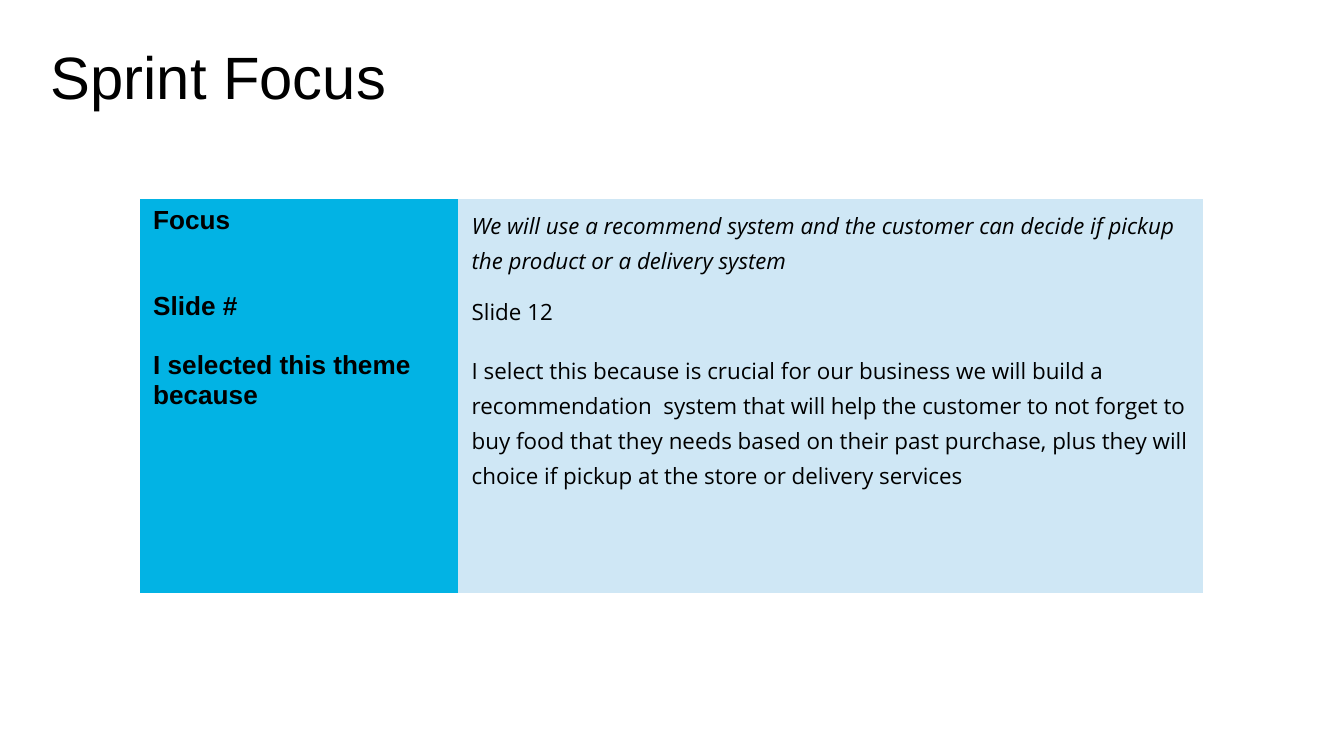
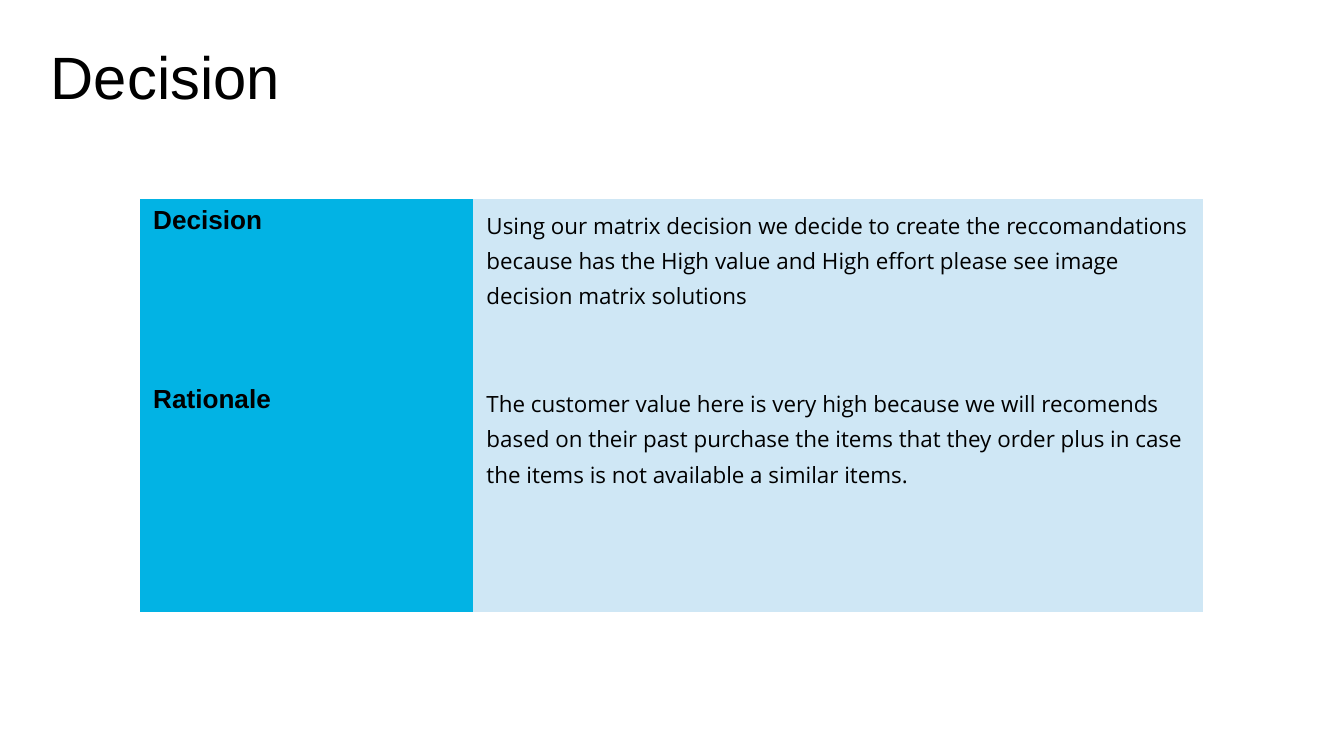
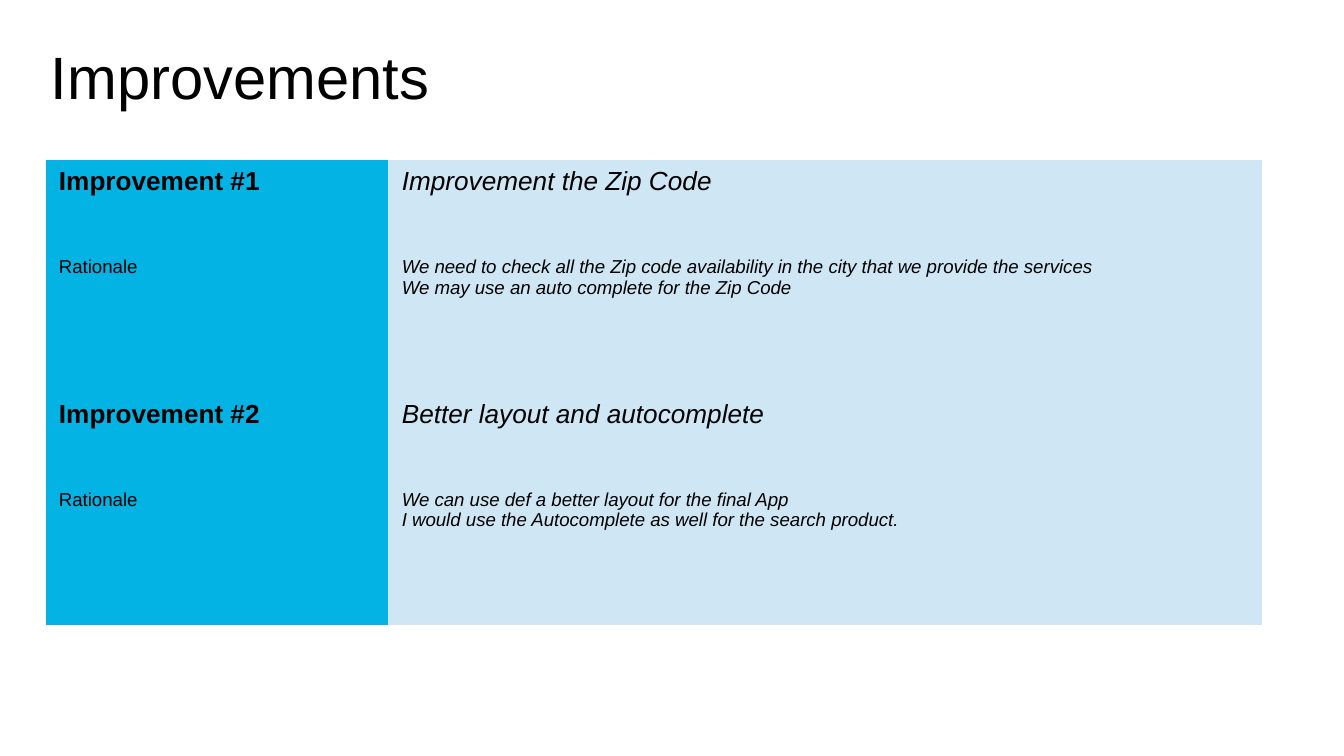
from dataclasses import dataclass

from pptx import Presentation
from pptx.dml.color import RGBColor as Rgb
from pptx.enum.text import MSO_ANCHOR as Anchor, MSO_AUTO_SIZE as Fit, PP_ALIGN as Align
from pptx.util import Cm, Pt


@dataclass(frozen=True)
class Theme:
    ink: Rgb = Rgb(0, 0, 0)
    paper: Rgb = Rgb(255, 255, 255)
    label: Rgb = Rgb(0x02, 0xB3, 0xE4)
    body: Rgb = Rgb(0xCF, 0xE7, 0xF5)
    sans: str = "Arial"
    prose: str = "Open Sans"
    huge: Pt = Pt(32)
    large: Pt = Pt(14)
    mid: Pt = Pt(12)
    small: Pt = Pt(10)
    plain: str = "{2D5ABB26-0587-4C30-8999-92F81FD0307C}"


THEME = Theme()
TITLE = dict(name=THEME.sans, size=THEME.huge, bold=False)
HEAD = dict(name=THEME.sans, size=THEME.large, bold=True)
LEAD = dict(name=THEME.sans, size=THEME.large, italic=True)
NOTE = dict(name=THEME.sans, size=THEME.small)
POINT = NOTE | dict(italic=True)
TEXT = dict(name=THEME.prose, size=THEME.mid)
QUOTE = TEXT | dict(italic=True)


def apply(item, values):
    for key, value in values.items():
        setattr(item, key, value)


class Deck:
    def __init__(self, theme):
        self.theme = theme
        self.show = Presentation()
        apply(self.show, dict(slide_width=Cm(25.4), slide_height=Cm(14.29)))
        self.slide = None

    def add(self, title):
        self.slide = self.show.slides.add_slide(self.show.slide_layouts[5])
        fill = self.slide.background.fill
        fill.solid()
        fill.fore_color.rgb = self.theme.paper
        shape = self.slide.shapes.title
        apply(shape, dict(left=Cm(0.86), top=Cm(0.61), width=Cm(23.67), height=Cm(1.6)))
        frame = shape.text_frame
        sides = ("left", "top", "right", "bottom")
        apply(frame, {f"margin_{side}": Cm(0.1) for side in sides})
        apply(frame, dict(vertical_anchor=Anchor.BOTTOM, auto_size=Fit.NONE, word_wrap=True))
        self.label(frame, title, TITLE)

    def label(self, frame, text, style):
        frame.text = text
        for para in frame.paragraphs:
            para.alignment = Align.LEFT
            if style["name"] == self.theme.prose:
                para.line_spacing = 1.15
            for run in para.runs:
                apply(run.font, style)
                run.font.color.rgb = self.theme.ink

    def table(self, left, top, widths, rows):
        high = sum(row[0] for row in rows)
        frame = self.slide.shapes.add_table(
            len(rows), len(widths), Cm(left), Cm(top), Cm(sum(widths)), Cm(high))
        grid = frame.table
        apply(grid, dict(first_row=False, horz_banding=False))
        grid._tbl.tblPr[0].text = self.theme.plain
        for col, width in zip(grid.columns, widths):
            col.width = Cm(width)
        tints = (self.theme.label, self.theme.body)
        for line, (height, *cells) in zip(grid.rows, rows):
            line.height = Cm(height)
            for cell, (text, style), tint in zip(line.cells, cells, tints):
                cell.fill.solid()
                cell.fill.fore_color.rgb = tint
                self.label(cell.text_frame, text, style)

    def save(self):
        self.show.save("out.pptx")


def main():
    deck = Deck(THEME)

    deck.add("Sprint Focus")
    deck.table(2.64, 3.76, (6.02, 14.07), [
        (1.63, ("Focus", HEAD),
         ("We will use a recommend system and the customer can decide if pickup "
          "the product or a delivery system", QUOTE)),
        (1.12, ("Slide #", HEAD), ("Slide 12", TEXT)),
        (4.7, ("I selected this theme because", HEAD),
         ("I select this because is crucial for our business we will build a "
          "recommendation  system that will help the customer to not forget to "
          "buy food that they needs based on their past purchase, plus they will "
          "choice if pickup at the store or delivery services", TEXT)),
    ])

    deck.add("Decision")
    deck.table(2.64, 3.76, (6.3, 13.79), [
        (3.38, ("Decision", HEAD),
         ("Using our matrix decision we decide to create the reccomandations "
          "because has the High value and High effort please see image "
          "decision matrix solutions", TEXT)),
        (4.42, ("Rationale", HEAD),
         ("The customer value here is very high because we will recomends "
          "based on their past purchase the items that they order plus in case "
          "the items is not available a similar items.", TEXT)),
    ])

    deck.add("Improvements")
    plans = (
        ("Improvement the Zip Code",
         "We need to check all the Zip code availability in the city that we provide the services\n"
         "We may use an auto complete for the Zip Code"),
        ("Better layout and autocomplete",
         "We can use def a better layout for the final App\n"
         "I would use the Autocomplete as well for the search product."),
    )
    rows = []
    for num, (name, why) in enumerate(plans, 1):
        rows += [(1.7, (f"Improvement #{num}", HEAD), (name, LEAD)),
                 (2.7, ("Rationale", NOTE), (why, POINT))]
    deck.table(0.86, 3.02, (6.48, 16.51), rows)

    deck.save()


if __name__ == "__main__":
    main()
